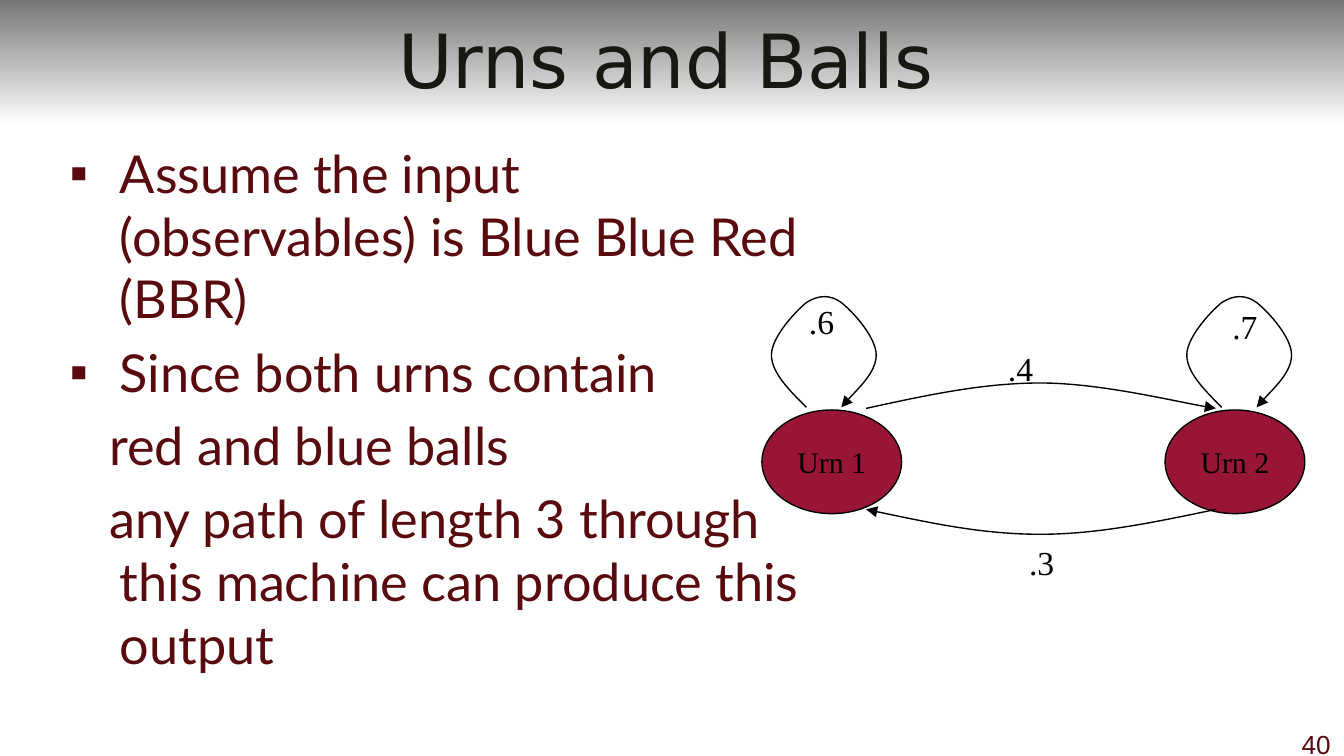
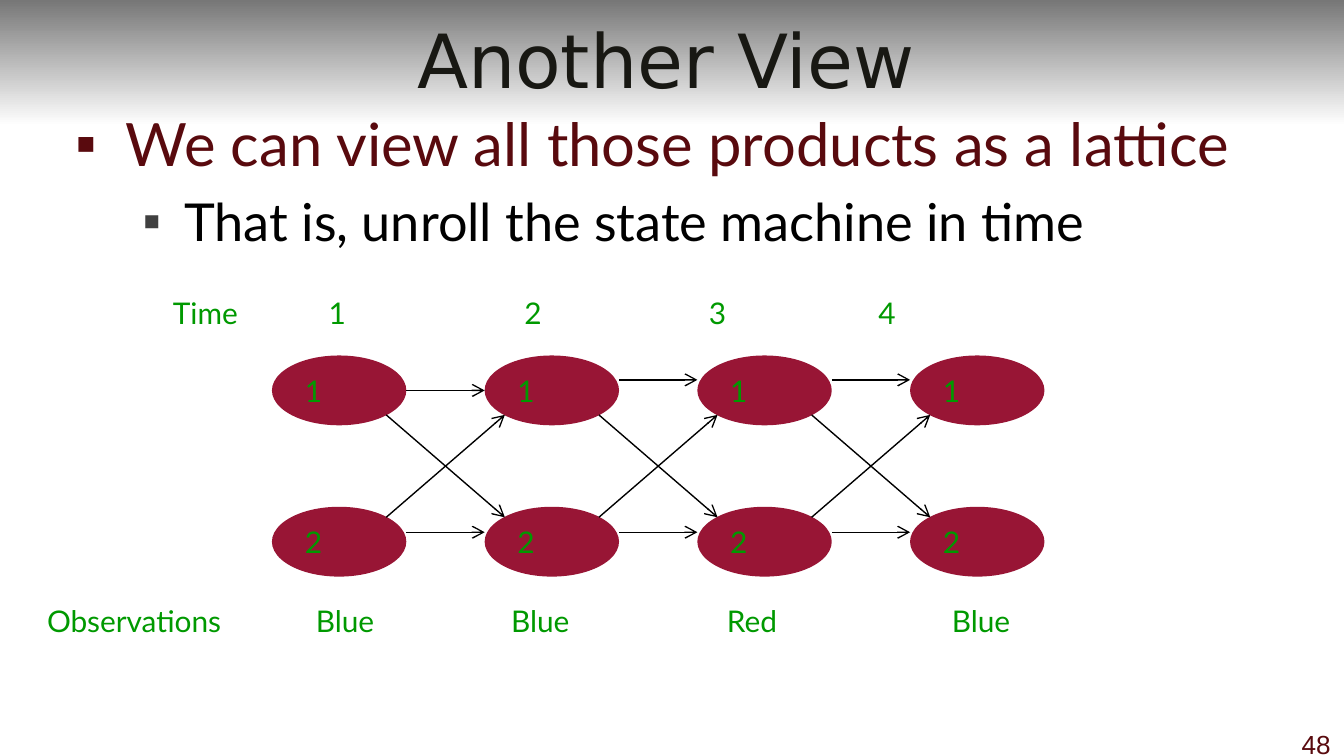
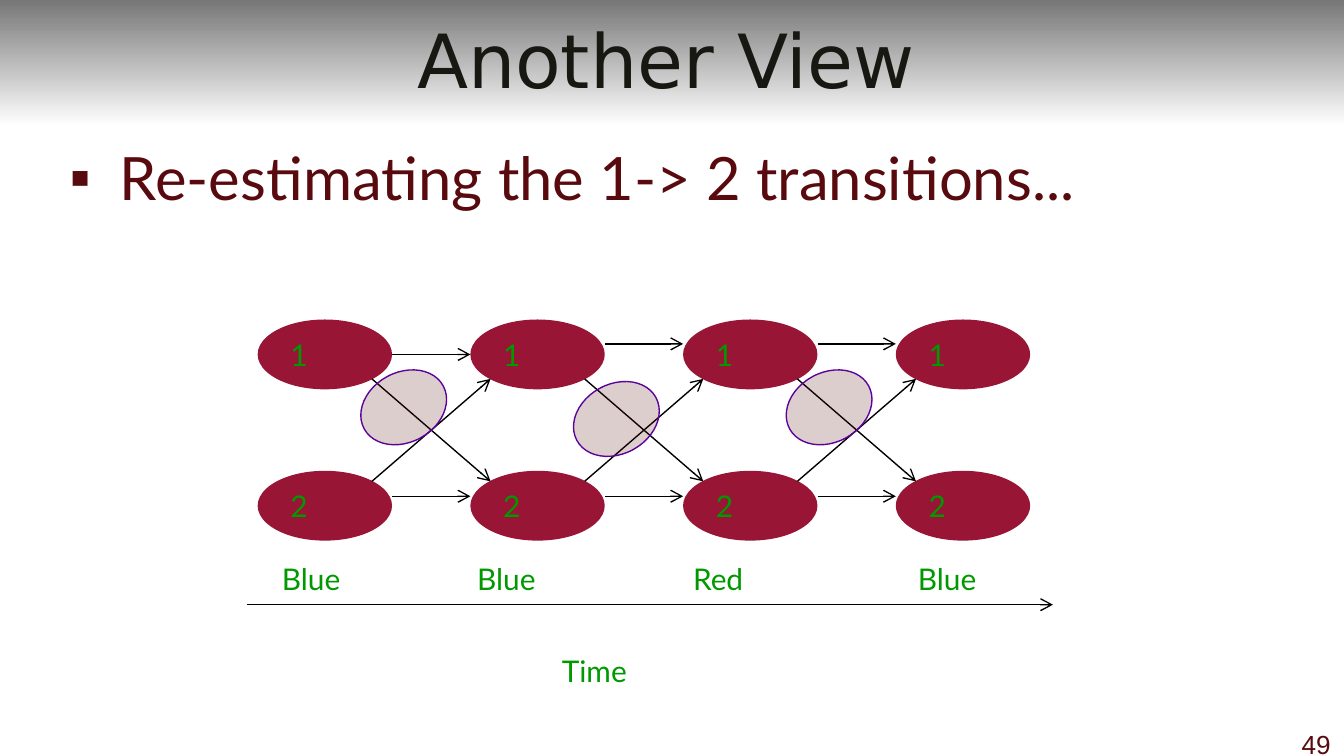
from dataclasses import dataclass

from lxml.etree import SubElement
from pptx import Presentation
from pptx.dml.color import RGBColor
from pptx.enum.shapes import MSO_CONNECTOR, MSO_SHAPE
from pptx.enum.text import MSO_ANCHOR, MSO_AUTO_SIZE, PP_ALIGN
from pptx.oxml.ns import qn
from pptx.util import Cm, Pt


@dataclass(frozen=True)
class TextStyle:
    font: str
    size: float
    colour: str


@dataclass(frozen=True)
class Theme:
    # Colours
    band_top: str = "777777"
    band_bottom: str = "FFFFFF"
    node: str = "981535"
    line: str = "000000"
    highlight: str = "590A0E"
    highlight_line: str = "5C029B"
    sub_bullet: str = "404040"
    line_width: float = 0.75
    # Type
    title: TextStyle = TextStyle("DejaVu Sans", 40, "181813")
    body: TextStyle = TextStyle("Lato", 28, "590A0E")
    large_body: TextStyle = TextStyle("Lato", 32, "590A0E")
    sub_body: TextStyle = TextStyle("Lato", 28, "000000")
    page_number: TextStyle = TextStyle("Arial", 14, "590A0E")
    lattice: TextStyle = TextStyle("Lato", 16, "009900")
    urn: TextStyle = TextStyle("Times New Roman", 16, "000000")
    probability: TextStyle = TextStyle("Times New Roman", 18, "000000")


@dataclass(frozen=True)
class Item:
    """One body paragraph; indents are in centimetres."""
    text: str
    style: TextStyle
    level: int = 0
    margin: float = 0.95
    indent: float = -0.95
    bullet_colour: str = ""


NODE_WIDTH, NODE_HEIGHT = 2.54, 1.32
COLUMN_STEP, ROW_STEP = 4.02, 2.86
COLUMNS = 4
DIAGONAL = 0.85  # share of an ellipse's box at its 45 degree point
OBSERVATION_STOPS = (3.69, 7.77, 12.02)
SELF_LOOP = [(0.66, 2.13), (0.33, 1.8), (0, 1.47), (0, 1.14),
             (0, 0.81), (0.44, 0.33), (0.66, 0.15),
             (0.89, 0), (1.12, 0), (1.32, 0.15),
             (1.55, 0.33), (1.98, 0.81), (1.98, 1.14),
             (1.98, 1.47), (1.45, 1.96), (1.32, 2.13)]


def rgb(colour):
    return RGBColor.from_string(colour)


def apply(target, values):
    for name, value in values.items():
        setattr(target, name, value)


def box(left, top, width, height):
    return {"left": Cm(left), "top": Cm(top), "width": Cm(width), "height": Cm(height)}


class Deck:
    def __init__(self, theme):
        self.theme = theme
        self.presentation = Presentation()
        apply(self.presentation, {"slide_width": Cm(25.4), "slide_height": Cm(14.29)})
        self.slide = None

    # Slide frame: band, title, page number
    def add_slide(self, title, number):
        self.slide = self.presentation.slides.add_slide(self.presentation.slide_layouts[1])
        self.band()
        shape = self.slide.shapes.title
        apply(shape, box(0.2, 0, 24.77, 2.22))
        apply(shape.text_frame, {"vertical_anchor": MSO_ANCHOR.MIDDLE,
                                 "auto_size": MSO_AUTO_SIZE.NONE})
        self.add_text(shape.text_frame.paragraphs[0], title, self.theme.title, PP_ALIGN.CENTER)
        self.label(str(number), (24.13, 13.65, 1.27, 0.64), self.theme.page_number,
                   align=PP_ALIGN.RIGHT, auto_size=MSO_AUTO_SIZE.NONE)

    def band(self):
        shape = self.slide.shapes.add_shape(MSO_SHAPE.RECTANGLE, *box(0, 0, 25.4, 2.38).values())
        shape.shadow.inherit = False
        shape.line.fill.background()
        shape.fill.gradient()
        shape.fill.gradient_angle = 270
        colours = (self.theme.band_top, self.theme.band_bottom)
        for stop, colour in zip(shape.fill.gradient_stops, colours):
            stop.color.rgb = rgb(colour)
        shape.element.getparent().insert(2, shape.element)

    # Text
    def add_text(self, paragraph, text, style, align=PP_ALIGN.LEFT):
        paragraph.alignment = align
        run = paragraph.add_run()
        run.text = text
        apply(run.font, {"name": style.font, "size": Pt(style.size)})
        run.font.color.rgb = rgb(style.colour)

    def body(self, place, items):
        shape = self.slide.placeholders[1]
        apply(shape, box(*place))
        frame = shape.text_frame
        apply(frame, {"word_wrap": True, "auto_size": MSO_AUTO_SIZE.NONE})
        for index, item in enumerate(items):
            paragraph = frame.add_paragraph() if index else frame.paragraphs[0]
            apply(paragraph, {"level": item.level,
                              "space_before": Pt(item.style.size * 0.2 if index else 0)})
            properties = paragraph._p.get_or_add_pPr()
            properties.set("marL", str(Cm(item.margin)))
            properties.set("indent", str(Cm(item.indent)))
            if item.bullet_colour:
                colour = SubElement(properties, qn("a:buClr"))
                SubElement(colour, qn("a:srgbClr"), val=item.bullet_colour)
                SubElement(properties, qn("a:buFont"), typeface="Arial")
                SubElement(properties, qn("a:buChar"), char="▪")
            else:
                SubElement(properties, qn("a:buNone"))
            self.add_text(paragraph, item.text, item.style)

    def label(self, text, place, style, align=PP_ALIGN.LEFT, wrap=True, stops=(),
              auto_size=MSO_AUTO_SIZE.SHAPE_TO_FIT_TEXT):
        shape = self.slide.shapes.add_textbox(*box(*place).values())
        apply(shape.text_frame, {"word_wrap": wrap, "auto_size": auto_size})
        paragraph = shape.text_frame.paragraphs[0]
        if stops:
            tabs = SubElement(paragraph._p.get_or_add_pPr(), qn("a:tabLst"))
            for stop in stops:
                SubElement(tabs, qn("a:tab"), pos=str(Cm(stop)), algn="l")
        self.add_text(paragraph, text, style, align)

    # Shapes and lines
    def outline(self, shape, colour, arrowhead=None):
        shape.line.color.rgb = rgb(colour)
        shape.line.width = Pt(self.theme.line_width)
        if arrowhead:
            SubElement(shape.element.spPr.find(qn("a:ln")), qn("a:tailEnd"), type=arrowhead)

    def ellipse(self, place, fill, line=None):
        shape = self.slide.shapes.add_shape(MSO_SHAPE.OVAL, *box(*place).values())
        shape.shadow.inherit = False
        shape.fill.solid()
        shape.fill.fore_color.rgb = rgb(fill)
        if line:
            self.outline(shape, line)
        else:
            shape.line.fill.background()
        return shape

    def urn(self, text, left):
        shape = self.ellipse((left, 7.75, 2.64, 1.96), self.theme.node, self.theme.line)
        apply(shape.text_frame, {"word_wrap": False, "vertical_anchor": MSO_ANCHOR.MIDDLE})
        self.add_text(shape.text_frame.paragraphs[0], text, self.theme.urn, PP_ALIGN.CENTER)

    def state(self, text, left, top):
        shape = self.ellipse((left, top, NODE_WIDTH, NODE_HEIGHT), self.theme.node)
        apply(shape.text_frame, {"word_wrap": True, "vertical_anchor": MSO_ANCHOR.TOP})
        self.add_text(shape.text_frame.paragraphs[0], text, self.theme.lattice)

    def highlight(self, left, top):
        shape = self.ellipse((left, top, 1.7, 1.32), self.theme.highlight,
                             self.theme.highlight_line)
        shape.rotation = 331.4
        colour = shape.element.spPr.find(qn("a:solidFill")).find(qn("a:srgbClr"))
        SubElement(colour, qn("a:alpha"), val="20000")

    def arrow(self, *ends):
        connector = self.slide.shapes.add_connector(MSO_CONNECTOR.STRAIGHT,
                                                    *(Cm(end) for end in ends))
        self.outline(connector, self.theme.line, "arrow")
        SubElement(connector.element.spPr, qn("a:effectLst"))

    def curve(self, points):
        """Draw a Bézier arrow: a start point, then three points per curve."""
        start, *rest = [(Cm(x), Cm(y)) for x, y in points]
        builder = self.slide.shapes.build_freeform(*start)
        builder.add_line_segments(rest, close=False)
        shape = builder.convert_to_shape()
        shape.shadow.inherit = False
        shape.fill.background()
        self.outline(shape, self.theme.line, "triangle")
        drawing = next(shape.element.iter(qn("a:path")))
        segments = drawing.findall(qn("a:lnTo"))
        for index in range(0, len(segments), 3):
            bezier = SubElement(drawing, qn("a:cubicBezTo"))
            for segment in segments[index:index + 3]:
                bezier.append(segment[0])
                drawing.remove(segment)

    def lattice(self, left, top):
        lower = top + ROW_STEP
        columns = [left + COLUMN_STEP * column for column in range(COLUMNS)]
        for column in columns:
            self.state("1", column, top)
            self.state("2", column, lower)
        upper_edge = top + DIAGONAL * NODE_HEIGHT
        lower_edge = lower + (1 - DIAGONAL) * NODE_HEIGHT
        for index, (column, following) in enumerate(zip(columns, columns[1:])):
            right = column + NODE_WIDTH
            upper_y = top + (0.46 if index else NODE_HEIGHT / 2)
            self.arrow(right, upper_y, following, upper_y)
            self.arrow(right, lower + 0.48, following, lower + 0.48)
            start = column + DIAGONAL * NODE_WIDTH
            end = following + (1 - DIAGONAL) * NODE_WIDTH
            self.arrow(start, lower_edge, end, upper_edge)
            self.arrow(start, upper_edge, end, lower_edge)


def urns_slide(deck):
    theme = deck.theme
    deck.add_slide("Urns and Balls", 40)
    bullet = {"style": theme.body, "bullet_colour": theme.body.colour}
    plain = {"style": theme.body, "indent": -0.2}
    deck.body((1.06, 2.54, 14.82, 10.95), [
        Item("Assume the input (observables) is Blue Blue Red (BBR)", **bullet),
        Item("Since both urns contain", **bullet),
        Item("red and blue balls", **plain),
        Item("any path of length 3 through this machine can produce this output", **plain),
    ])
    # State machine
    for text, left, loop_left in (("Urn 1", 14.4, 14.58), ("Urn 2", 22.02, 22.43)):
        deck.urn(text, left)
        deck.curve([(loop_left + x, 5.57 + y) for x, y in SELF_LOOP])
    deck.curve([(16.37, 7.72), (17.47, 7.48), (18.56, 7.24), (19.66, 7.24),
                (20.77, 7.24), (22.42, 7.64), (22.98, 7.72)])
    deck.curve([(22.98, 9.63), (21.87, 9.86), (20.77, 10.1), (19.66, 10.1),
                (18.56, 10.1), (17.47, 9.86), (16.37, 9.63)])
    for text, left, top in ((".4", 18.8, 6.45), (".3", 19.2, 10.11),
                            (".6", 15.04, 5.56), (".7", 23.04, 5.66)):
        deck.label(text, (left, top, 1, 1.02), theme.probability, wrap=False)


def unrolled_slide(deck):
    theme = deck.theme
    deck.add_slide("Another View", 48)
    deck.body((1.17, 1.9, 22.86, 2.7), [
        Item("We can view all those products as a lattice", theme.large_body,
             bullet_colour=theme.large_body.colour),
        Item("That is, unroll the state machine in time", theme.sub_body, level=1,
             margin=2.06, indent=-0.79, bullet_colour=theme.sub_bullet),
    ])
    deck.lattice(5.14, 6.72)
    # Captions
    first = 5.08
    deck.label("Observations\tBlue\tBlue\tRed\tBlue", (0.64, 11.27, 20.32, 0.94), theme.lattice,
               stops=[first] + [first + stop for stop in OBSERVATION_STOPS])
    deck.label("Time\t1\t2\t3\t4", (3.02, 5.45, 17.78, 0.94), theme.lattice,
               stops=(2.94, 6.64, 10.13, 13.33))


def transitions_slide(deck):
    theme = deck.theme
    deck.add_slide("Another View", 49)
    deck.body((1.06, 2.54, 22.86, 2.7), [
        Item("Re-estimating the 1-> 2 transitions...", theme.large_body,
             bullet_colour=theme.large_body.colour),
    ])
    deck.lattice(4.87, 6.04)
    # Highlighted transitions
    for index, top in enumerate((7.04, 7.26, 7.04)):
        deck.highlight(6.78 + COLUMN_STEP * index, top)
    # Time axis
    deck.arrow(4.66, 11.43, 19.9, 11.43)
    deck.label("Time", (10.37, 12.22, 1.75, 0.94), theme.lattice, wrap=False)
    deck.label("Blue\tBlue\tRed\tBlue", (5.08, 10.47, 15.67, 0.94), theme.lattice,
               stops=OBSERVATION_STOPS)


def main():
    deck = Deck(Theme())
    urns_slide(deck)
    unrolled_slide(deck)
    transitions_slide(deck)
    deck.presentation.save("out.pptx")


if __name__ == "__main__":
    main()
